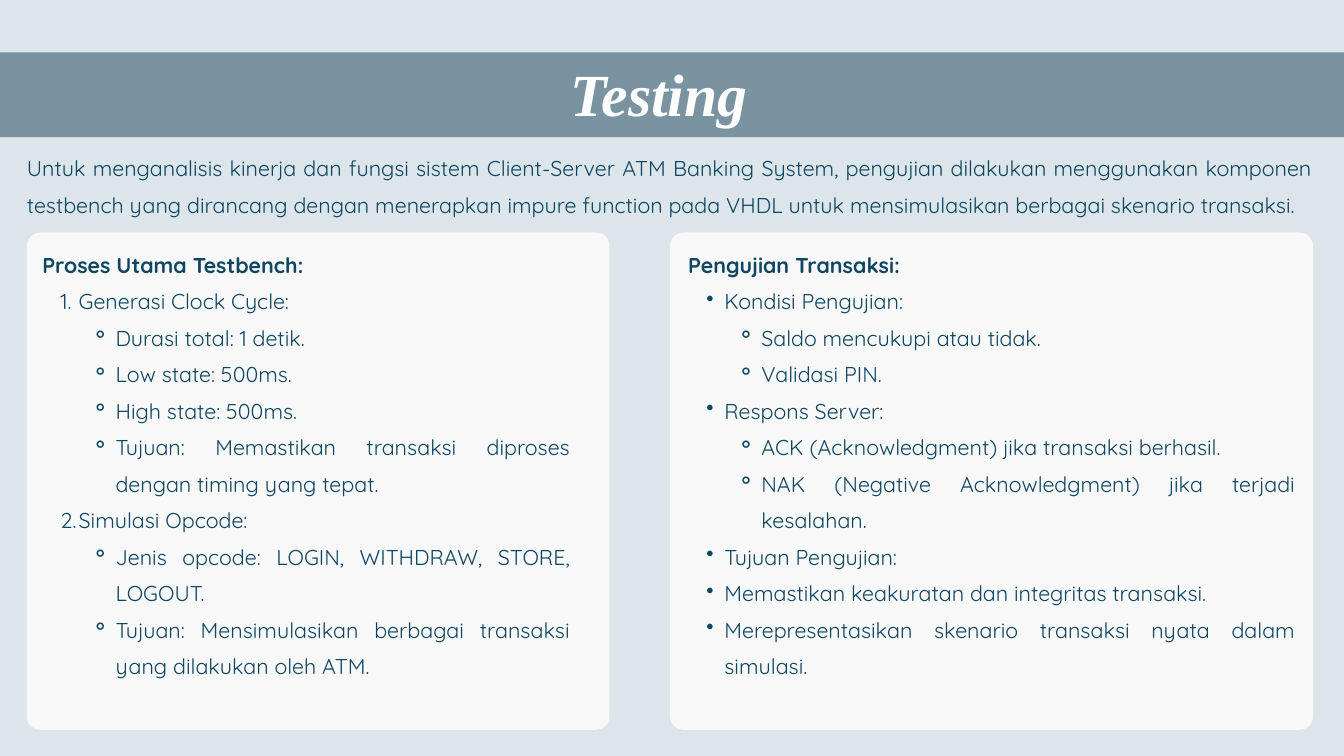
"""Build the Testing slide: title band, introduction and two outline cards."""
from dataclasses import dataclass

from lxml.etree import SubElement
from pptx import Presentation
from pptx.dml.color import RGBColor
from pptx.enum.shapes import MSO_SHAPE as SHAPE
from pptx.enum.text import MSO_AUTO_SIZE as AUTO, PP_ALIGN as ALIGN
from pptx.oxml.ns import qn
from pptx.util import Inches, Pt


@dataclass(frozen=True)
class Theme:
    background: str = "DBE5EA"
    band: str = "7994A0"
    card: str = "F8F8F8"
    ink: str = "0F4662"
    white: str = "FFFFFF"
    title_font: str = "Times New Roman"
    body_font: str = "Quicksand"
    title_size: float = 64
    title_line: float = 89.6
    body_size: float = 23
    body_line: float = 39.1


INDENTS = {1: (0.54, -0.27), 2: (1.09, -0.36)}
NUMBER, DOT, RING = "1.", "•", "⚬"

INTRO = (
    "Untuk menganalisis kinerja dan fungsi sistem Client-Server ATM Banking System, "
    "pengujian dilakukan menggunakan komponen testbench yang dirancang dengan menerapkan "
    "impure function pada VHDL untuk mensimulasikan berbagai skenario transaksi."
)
PROCESS = [
    (1, "Generasi Clock Cycle:"),
    (2, "Durasi total: 1 detik."),
    (2, "Low state: 500ms."),
    (2, "High state: 500ms."),
    (2, "Tujuan: Memastikan transaksi diproses dengan timing yang tepat."),
    (1, "Simulasi Opcode:"),
    (2, "Jenis opcode: LOGIN, WITHDRAW, STORE, LOGOUT."),
    (2, "Tujuan: Mensimulasikan berbagai transaksi yang dilakukan oleh ATM."),
]
TRANSACTIONS = [
    (1, "Kondisi Pengujian:"),
    (2, "Saldo mencukupi atau tidak."),
    (2, "Validasi PIN."),
    (1, "Respons Server:"),
    (2, "ACK (Acknowledgment) jika transaksi berhasil."),
    (2, "NAK (Negative Acknowledgment) jika terjadi kesalahan."),
    (1, "Tujuan Pengujian:"),
    (1, "Memastikan keakuratan dan integritas transaksi."),
    (1, "Merepresentasikan skenario transaksi nyata dalam simulasi."),
]


def write(p, text, *, font, size, color, line, bold=False, italic=False,
          align=ALIGN.JUSTIFY, level=0, bullet=None):
    p.alignment, p.level, p.line_spacing = align, level, Pt(line)
    if bullet:
        pPr = p._p.get_or_add_pPr()
        margin, indent = INDENTS[level]
        pPr.set("marL", str(Inches(margin)))
        pPr.set("indent", str(Inches(indent)))
        if bullet == NUMBER:
            SubElement(pPr, qn("a:buAutoNum"), type="arabicPeriod")
        else:
            SubElement(pPr, qn("a:buChar"), char=bullet)
    r = p.add_run()
    r.text = text
    f = r.font
    f.name, f.size, f.bold, f.italic = font, Pt(size), bold, italic
    f.color.rgb = RGBColor.from_string(color)


class Deck:
    def __init__(self, prs, theme):
        self.theme = theme
        self.s = prs.slides.add_slide(prs.slide_layouts[6])
        fill = self.s.background.fill
        fill.solid()
        fill.fore_color.rgb = RGBColor.from_string(theme.background)

    def panel(self, x, y, w, h, color, radius):
        sp = self.s.shapes.add_shape(
            SHAPE.ROUNDED_RECTANGLE, Inches(x), Inches(y), Inches(w), Inches(h))
        sp.adjustments[0] = radius / min(w, h)
        sp.fill.solid()
        sp.fill.fore_color.rgb = RGBColor.from_string(color)
        sp.line.fill.background()
        sp.shadow.inherit = False

    def box(self, x, y, w, h):
        tf = self.s.shapes.add_textbox(Inches(x), Inches(y), Inches(w), Inches(h)).text_frame
        tf.word_wrap, tf.auto_size = True, AUTO.SHAPE_TO_FIT_TEXT
        tf.margin_left = tf.margin_right = tf.margin_top = tf.margin_bottom = 0
        return tf

    def body(self, p, text, **style):
        t = self.theme
        write(p, text, font=t.body_font, size=t.body_size, color=t.ink,
              line=t.body_line, **style)

    def title(self, text):
        t = self.theme
        self.panel(-2.43, 0.78, 23.41, 1.26, t.band, 0.08)
        write(self.box(8.49, 0.66, 11.29, 1.19).paragraphs[0], text, font=t.title_font,
              size=t.title_size, color=t.white, line=t.title_line, bold=True,
              italic=True, align=ALIGN.LEFT)

    def intro(self, text):
        self.body(self.box(0.4, 2.15, 19.15, 1.06).paragraphs[0], text)

    def card(self, x, w, text_x, text_w, heading, items, marker):
        self.panel(x, 3.46, w, 7.4, self.theme.card, 0.2)
        tf = self.box(text_x, 3.59, text_w, 7.02)
        self.body(tf.paragraphs[0], heading, bold=True)
        for level, text in items:
            self.body(tf.add_paragraph(), text, level=level,
                      bullet=marker if level == 1 else RING)


def main():
    prs = Presentation()
    prs.slide_width, prs.slide_height = Inches(20), Inches(11.25)
    deck = Deck(prs, Theme())
    deck.title("Testing")
    deck.intro(INTRO)
    deck.card(0.4, 8.67, 0.63, 7.86, "Proses Utama Testbench:", PROCESS, NUMBER)
    deck.card(9.97, 9.57, 10.24, 9.04, "Pengujian Transaksi:", TRANSACTIONS, DOT)
    prs.save("out.pptx")


if __name__ == "__main__":
    main()
